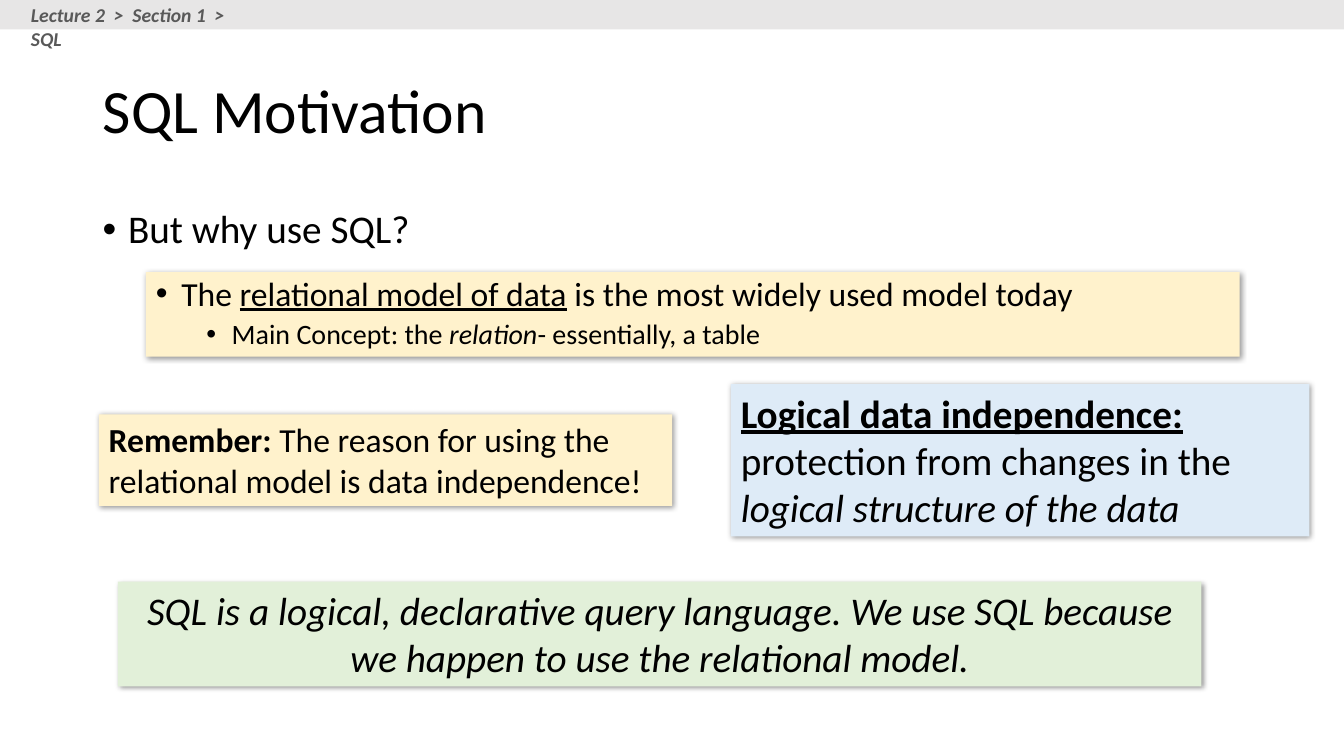
from lxml.etree import SubElement
from pptx import Presentation
from pptx.dml.color import RGBColor
from pptx.enum.shapes import MSO_SHAPE
from pptx.enum.text import MSO_ANCHOR, PP_ALIGN
from pptx.oxml.ns import qn
from pptx.util import Cm, Pt

BLACK = RGBColor(0x00, 0x00, 0x00)
GREY = RGBColor(0x59, 0x59, 0x59)
SILVER = RGBColor(0xE7, 0xE6, 0xE6)
CREAM = RGBColor(0xFF, 0xF2, 0xCC)
BLUE = RGBColor(0xDE, 0xEB, 0xF7)
GREEN = RGBColor(0xE2, 0xF0, 0xD9)


def add_text(slide, box):
    """Add a wrapping text box and return it."""
    shape = slide.shapes.add_textbox(*map(Cm, box))
    shape.text_frame.word_wrap = True
    return shape


def add_rect(slide, box, fill):
    """Add a plain filled rectangle and return it."""
    shape = slide.shapes.add_shape(MSO_SHAPE.RECTANGLE, *map(Cm, box))
    shape.shadow.inherit = False
    shape.fill.solid()
    shape.fill.fore_color.rgb = fill
    shape.line.fill.background()
    return shape


def add_card(slide, box, fill):
    """Add a rectangle with a soft shadow and return it."""
    shape = add_rect(slide, box, fill)
    shape.text_frame.word_wrap = True
    shape.text_frame.vertical_anchor = MSO_ANCHOR.TOP
    effect = shape.element.spPr.find(qn("a:effectLst"))
    shade = SubElement(effect, qn("a:outerShdw"), blurRad=str(Pt(4)),
                       dist=str(Pt(1)), dir="2700000", algn="tl", rotWithShape="0")
    color = SubElement(shade, qn("a:srgbClr"), val=str(BLACK))
    SubElement(color, qn("a:alpha"), val="40000")
    return shape


def write(para, parts, size, color=BLACK, align=PP_ALIGN.LEFT):
    """Fill a paragraph with (text, style) parts; style letters are b, i, u."""
    para.alignment = align
    for text, style in parts:
        run = para.add_run()
        run.text = text
        font = run.font
        font.name, font.size = "Calibri", Pt(size)
        font.color.rgb = color
        font.bold, font.italic, font.underline = (key in style for key in "biu")


def bullet(para, before, left=0.64, level=0):
    """Give a paragraph a hanging bullet and tight spacing."""
    para.level = level
    para.line_spacing = 0.9
    para.space_before = Pt(before)
    props = para._p.get_or_add_pPr()
    props.set("marL", str(Cm(left)))
    props.set("indent", str(Cm(-0.64)))
    SubElement(props, qn("a:buFont"), typeface="Arial")
    SubElement(props, qn("a:buChar"), char="•")


def add_head(slide):
    """Add the title, the top bar and the breadcrumb."""
    frame = add_text(slide, (2.34, 1.02, 29.21, 3.68)).text_frame
    frame.vertical_anchor = MSO_ANCHOR.MIDDLE
    frame.paragraphs[0].line_spacing = 0.9
    write(frame.paragraphs[0], [("SQL Motivation", "")], 44)
    add_rect(slide, (0, 0, 33.87, 0.74), SILVER)
    crumb = add_text(slide, (0.53, -0.05, 6.32, 0.86)).text_frame
    write(crumb.paragraphs[0], [("Lecture 2  >  Section 1  >  SQL", "bi")], 14, GREY)


def add_points(slide):
    """Add the question and the card that answers it."""
    ask = add_text(slide, (2.34, 5.16, 28.6, 10.16)).text_frame.paragraphs[0]
    write(ask, [("But why use SQL?", "")], 28)
    bullet(ask, 10)
    frame = add_card(slide, (3.68, 6.86, 27.56, 2.13), CREAM).text_frame
    main_point, detail = frame.paragraphs[0], frame.add_paragraph()
    write(main_point, [("The ", ""), ("relational model of data", "u"),
                       (" is the most widely used model today", "")], 24)
    bullet(main_point, 5)
    write(detail, [("Main Concept: the ", ""), ("relation", "i"),
                   ("- essentially, a table", "")], 20)
    bullet(detail, 5, 1.91, 1)


def main():
    """Build the slide and save it."""
    deck = Presentation()
    deck.slide_width, deck.slide_height = Cm(33.87), Cm(19.05)
    slide = deck.slides.add_slide(deck.slide_layouts[6])
    add_head(slide)
    add_points(slide)
    cards = [
        ((18.42, 9.68, 14.58, 3.84), BLUE, 28, PP_ALIGN.LEFT,
         [("Logical data independence:", "bu"), (" ", "b"),
          ("protection from changes in the ", ""),
          ("logical structure of the data", "i")]),
        ((2.97, 14.66, 27.31, 2.64), GREEN, 28, PP_ALIGN.CENTER,
         [("SQL is a logical, declarative query language. We use SQL because "
           "we happen to use the relational model.", "i")]),
        ((2.49, 10.44, 14.45, 2.31), CREAM, 24, PP_ALIGN.LEFT,
         [("Remember:", "b"),
          (" The reason for using the relational model is data independence!", "")]),
    ]
    for box, fill, size, align, parts in cards:
        card = add_card(slide, box, fill)
        write(card.text_frame.paragraphs[0], parts, size, align=align)
    deck.save("out.pptx")


if __name__ == "__main__":
    main()
